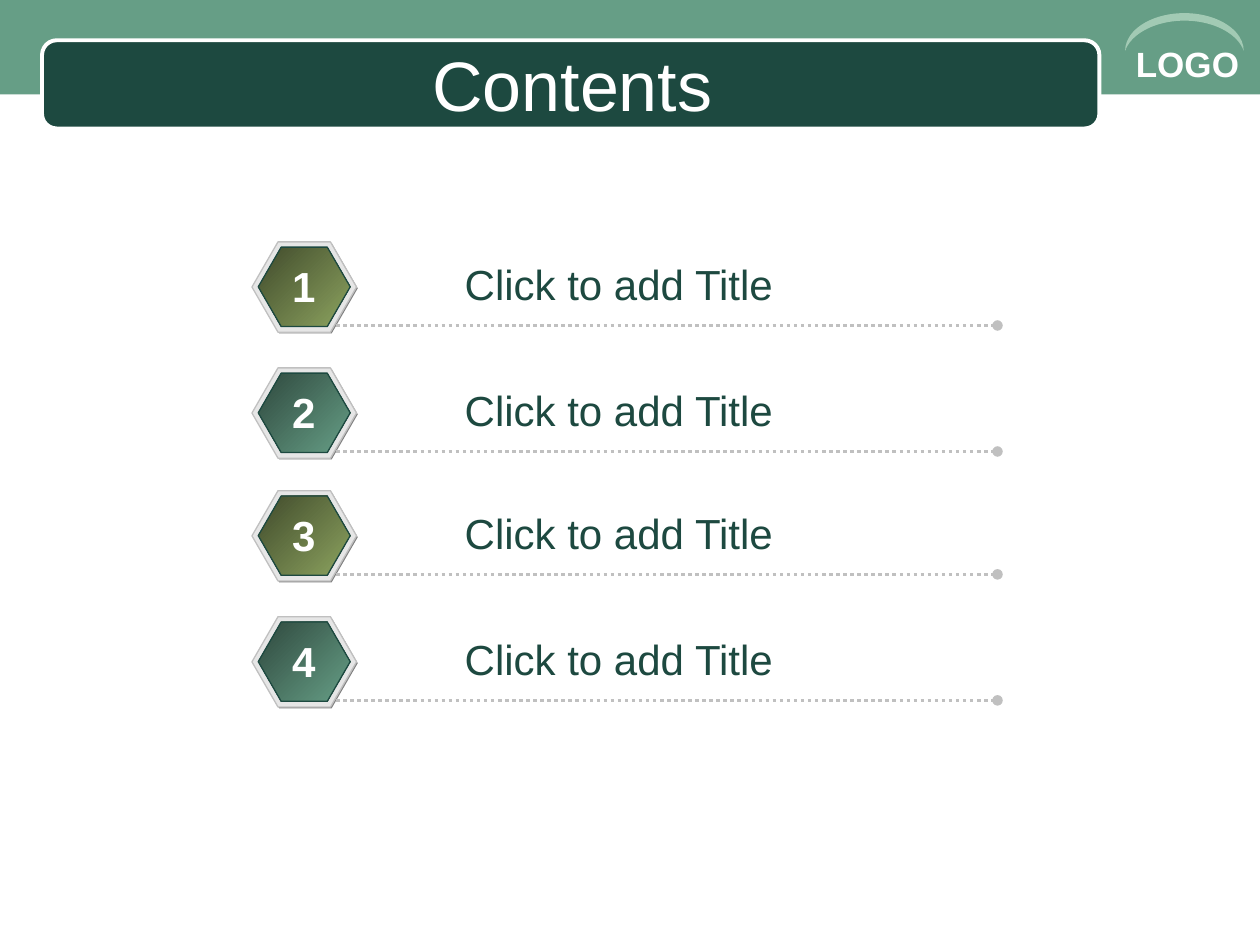
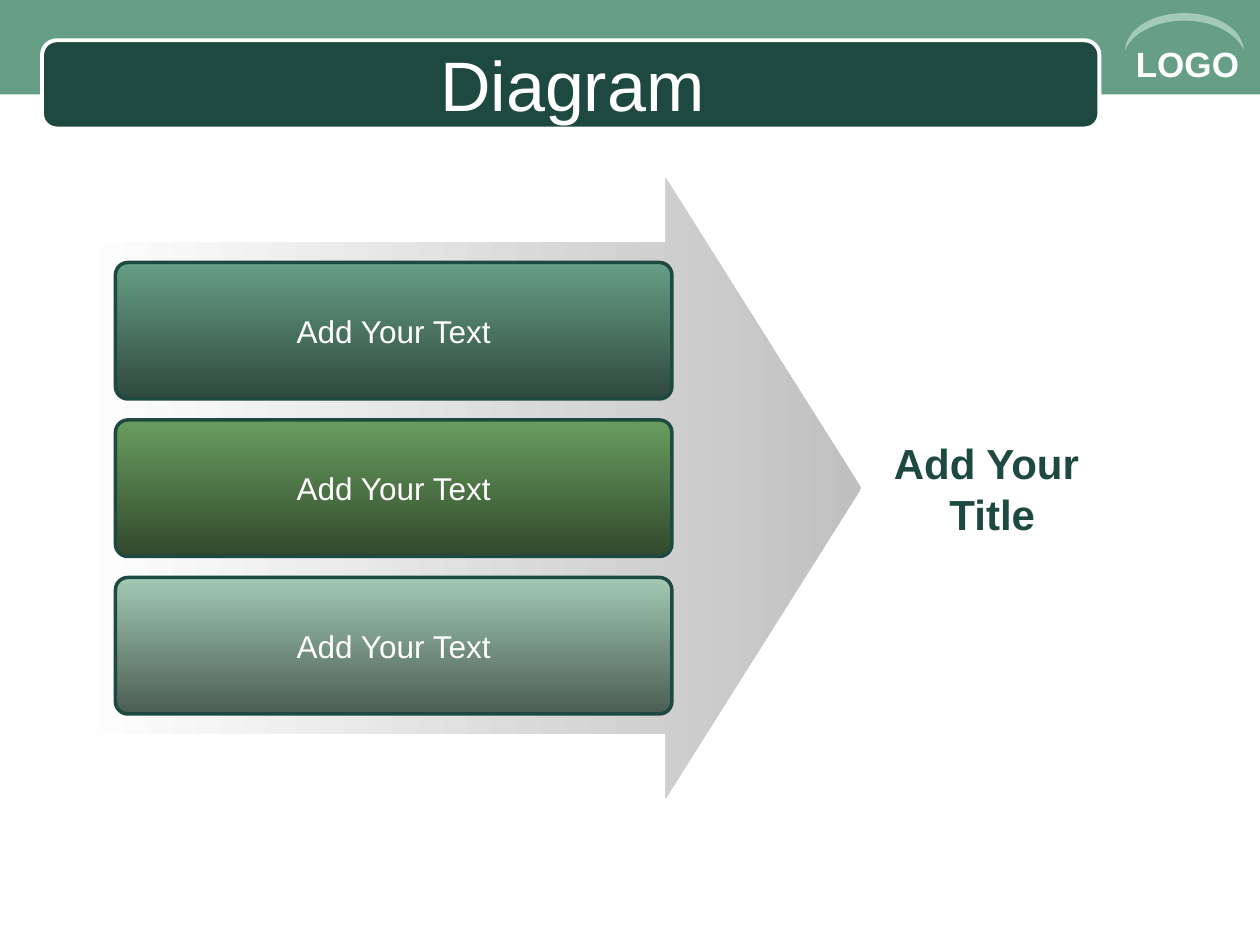
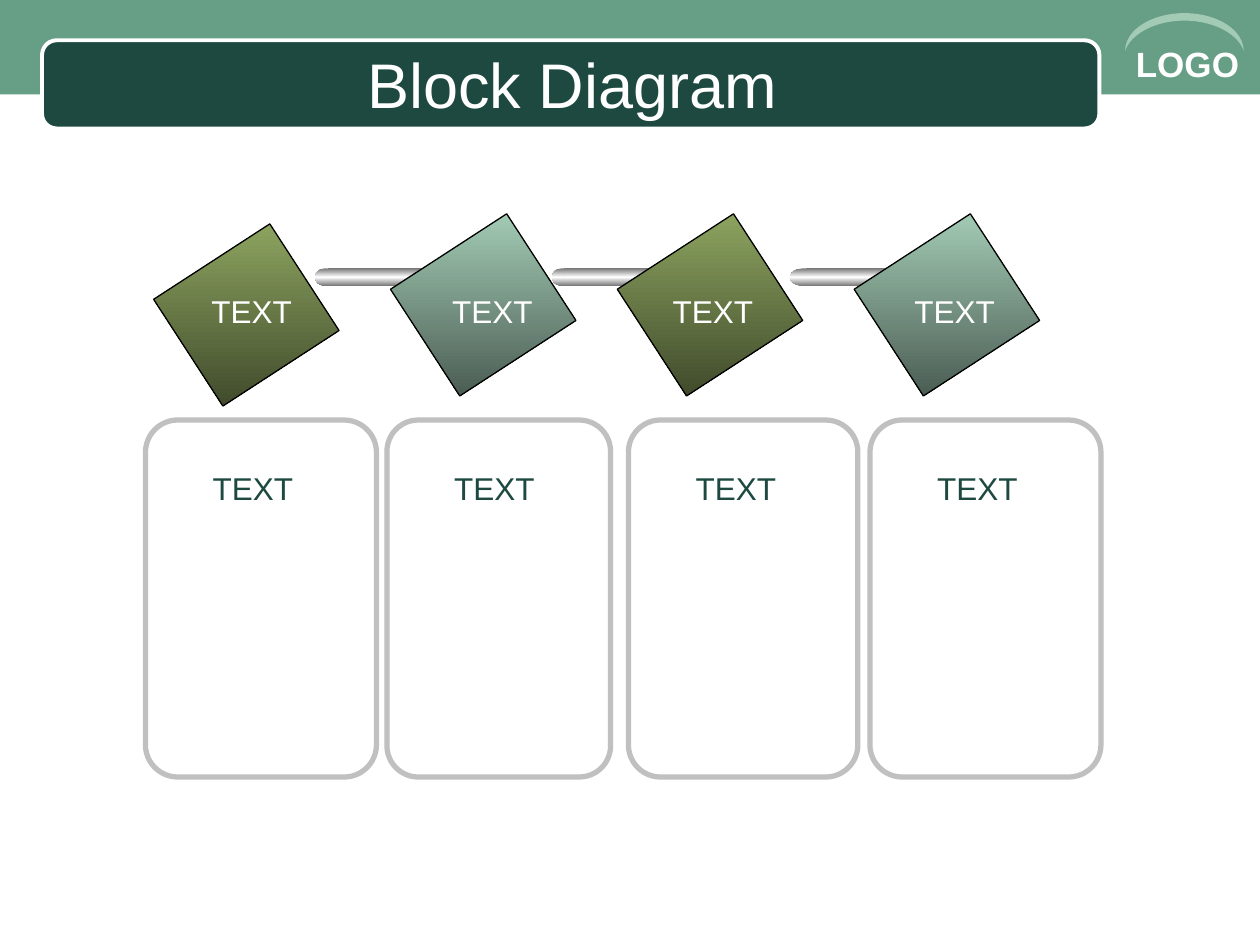
from dataclasses import dataclass
from typing import Optional

from lxml.etree import SubElement
from pptx import Presentation
from pptx.dml.color import RGBColor
from pptx.enum.dml import MSO_LINE as Dash
from pptx.enum.shapes import MSO_CONNECTOR as Connector, MSO_SHAPE as Preset
from pptx.enum.text import MSO_ANCHOR as Anchor, MSO_AUTO_SIZE as AutoSize, PP_ALIGN as Align
from pptx.oxml.ns import qn
from pptx.util import Emu, Inches, Pt

COLUMNS, ROWS = 120, 90
FONT = "Arial"
COLORS = {
    "band": "669E86", "deep": "1D4940", "mint": "A2CAB4", "white": "FFFFFF",
    "black": "000000", "silver": "C0C0C0", "pale": "E6E6E6", "gray": "808080",
    "steel": "767676", "olive": "8CA35F", "olive_dark": "414B2C",
    "band_dark": "2F493E", "leaf": "699D5F", "leaf_dark": "31492C",
    "mint_dark": "4B5D53",
}
METAL = ("steel", "white", "steel")
OLIVE = ("olive", "olive_dark")
MINT = ("mint", "mint_dark")

deck = Presentation()
deck.slide_width, deck.slide_height = Inches(10), Inches(7.5)
LAYOUT = deck.slide_layouts[5]


def across(columns: float) -> Emu:
    return Emu(round(deck.slide_width * columns / COLUMNS))


def down(rows: float) -> Emu:
    return Emu(round(deck.slide_height * rows / ROWS))


@dataclass(frozen=True)
class Box:
    left: float
    top: float
    width: float
    height: float

    def place(self) -> tuple:
        return across(self.left), down(self.top), across(self.width), down(self.height)


@dataclass(frozen=True)
class Look:
    fill: tuple = ()
    angle: int = 0
    line: str = ""
    weight: float = 0.75
    adjust: tuple = ()
    rotation: int = 0


@dataclass(frozen=True)
class Lettering:
    size: int
    color: str
    bold: bool = False
    align: Optional[Align] = None
    wrap: bool = False


@dataclass(frozen=True)
class RodPart:
    preset: Preset
    left: float
    top: float
    width: float
    height: float
    line: str = ""


def color(name: str) -> RGBColor:
    return RGBColor.from_string(COLORS[name])


def paint_gradient(shape, names: tuple, angle: int) -> None:
    shape.fill.gradient()
    gradient = shape.element.spPr.find(qn("a:gradFill"))
    stops = gradient.find(qn("a:gsLst"))
    for stop in list(stops):
        stops.remove(stop)
    for index, name in enumerate(names):
        position = round(100000 * index / (len(names) - 1))
        stop = SubElement(stops, qn("a:gs"), pos=str(position))
        SubElement(stop, qn("a:srgbClr"), val=COLORS[name])
    direction = gradient.find(qn("a:lin"))
    direction.set("ang", str(angle * 60000))
    direction.set("scaled", "0")


def draw(shapes, preset: Preset, box: Box, look: Look):
    shape = shapes.add_shape(preset, *box.place())
    shape.shadow.inherit = False
    shape.rotation = look.rotation
    for index, value in enumerate(look.adjust):
        shape.adjustments[index] = value
    if len(look.fill) > 1:
        paint_gradient(shape, look.fill, look.angle)
    elif look.fill:
        shape.fill.solid()
        shape.fill.fore_color.rgb = color(look.fill[0])
    else:
        shape.fill.background()
    if look.line:
        shape.line.color.rgb = color(look.line)
        shape.line.width = Pt(look.weight)
    else:
        shape.line.fill.background()
    return shape


def letter(shape, text: str, style: Lettering) -> None:
    frame = shape.text_frame
    frame.text = text
    frame.word_wrap = style.wrap
    for paragraph in frame.paragraphs:
        paragraph.alignment = style.align
        for span in paragraph.runs:
            span.font.name = FONT
            span.font.size = Pt(style.size)
            span.font.bold = style.bold
            span.font.color.rgb = color(style.color)


def write(page, box: Box, text: str, style: Lettering) -> None:
    letter(page.shapes.add_textbox(*box.place()), text, style)


def draw_dotted_line(page, left: float, right: float, row: float) -> None:
    rule = page.shapes.add_connector(
        Connector.STRAIGHT, across(left), down(row), across(right), down(row))
    rule.line.color.rgb = color("silver")
    rule.line.width = Pt(2)
    rule.line.dash_style = Dash.ROUND_DOT
    properties = rule.element.spPr
    SubElement(properties.find(qn("a:ln")), qn("a:tailEnd"), type="oval")
    SubElement(properties, qn("a:effectLst"))


def add_page(title: str, size: int = 40):
    page = deck.slides.add_slide(LAYOUT)
    heading = page.shapes.title
    heading.left, heading.top, heading.width, heading.height = Box(6, 4.2, 97, 7.44).place()
    letter(heading, title, Lettering(size, "white", align=Align.CENTER, wrap=True))
    heading.text_frame.auto_size = AutoSize.NONE
    heading.text_frame.vertical_anchor = Anchor.MIDDLE
    return page


def furnish_layout(page) -> None:
    band = draw(page.shapes, Preset.RECTANGLE, Box(0, 0, COLUMNS, 9), Look(("band",)))
    panel = draw(page.shapes, Preset.ROUNDED_RECTANGLE, Box(4, 3.84, 100.7, 8.4),
                 Look(("deep",), line="white", weight=2.25, adjust=(0.167,)))
    mark = page.shapes.add_textbox(*Box(107, 3.5, 13, 5.28).place())
    letter(mark, "LOGO", Lettering(20, "white", bold=True, wrap=True))
    arc = draw(page.shapes, Preset.MOON, Box(111, -2.6, 3.6, 11.3),
               Look(("mint",), adjust=(0.2,), rotation=90))
    for index, part in enumerate((band, panel, mark, arc)):
        LAYOUT.shapes.element.insert(2 + index, part.element)


def draw_badge(page, top: float, gradient: tuple) -> None:
    group = page.shapes.add_group_shape().shapes
    corners = (0.289, 1.155)
    draw(group, Preset.HEXAGON, Box(24.12, top + 0.12, 9.96, 8.6),
         Look(("gray",), adjust=corners))
    draw(group, Preset.HEXAGON, Box(24, top, 9.96, 8.6),
         Look(("pale",), line="silver", adjust=corners))
    draw(group, Preset.HEXAGON, Box(24.6, top + 0.5, 8.76, 7.56),
         Look(gradient, 45, "deep", adjust=corners))


def build_contents(page) -> None:
    gradients = (("olive_dark", "olive"), ("band_dark", "band"))
    for index in range(4):
        top = 23.04 + 12 * index - 0.3 * (index // 2)
        draw_badge(page, top, gradients[index % 2])
        draw_dotted_line(page, 32, 95, top + 7.96)
        write(page, Box(43.08, top + 0.96, 31.9, 6), "Click to add Title",
              Lettering(24, "deep"))
        write(page, Box(26.64, top + 1.2, 4.56, 6), str(index + 1),
              Lettering(24, "white", bold=True, align=Align.CENTER))


def build_arrow(page) -> None:
    draw(page.shapes, Preset.RIGHT_ARROW, Box(7, 17, 75, 59),
         Look(("white", "silver"), adjust=(0.793, 0.315)))
    for index, gradient in enumerate((("band", "band_dark"), ("leaf", "leaf_dark"), MINT)):
        bar = draw(page.shapes, Preset.ROUNDED_RECTANGLE, Box(11, 25 + 15 * index, 53, 13),
                   Look(gradient, 90, "deep", 2, (0.091,)))
        letter(bar, "Add Your Text", Lettering(18, "white", align=Align.CENTER))
    result = draw(page.shapes, Preset.ROUNDED_RECTANGLE, Box(78, 38, 33, 17),
                  Look(adjust=(0.091,)))
    letter(result, "Add Your \nTitle",
           Lettering(24, "deep", bold=True, align=Align.CENTER, wrap=True))


ROD = (
    RodPart(Preset.OVAL, 0, 25.56, 2.04, 1.68),
    RodPart(Preset.RECTANGLE, 1.2, 25.56, 10.2, 1.68),
    RodPart(Preset.OVAL, 10.32, 25.68, 1.8, 1.68, "white"),
    RodPart(Preset.OVAL, 11.4, 26.16, 0.48, 0.48),
)


def draw_rod(shapes, left: float, stretch: float) -> None:
    for part in ROD:
        box = Box(left + part.left * stretch, part.top, part.width * stretch, part.height)
        draw(shapes, part.preset, box, Look(METAL, 90, part.line, 1))


@dataclass(frozen=True)
class Block:
    card_width: float
    tile_left: float
    tile_top: float
    label_left: float
    gradient: tuple
    rod_left: float = 0
    rod_stretch: float = 1


BLOCKS = (
    Block(22, 17.4, 23.4, 18.96, OLIVE, 30),
    Block(21.3, 39.96, 22.44, 41.88, MINT, 52.56),
    Block(21.85, 61.56, 22.44, 62.88, OLIVE, 75.24, 1.3),
    Block(22, 84.12, 22.44, 85.92, MINT),
)


def build_blocks(page) -> None:
    pitch = 23
    for index, block in reversed(list(enumerate(BLOCKS))):
        draw(page.shapes, Preset.ROUNDED_RECTANGLE,
             Box(13.85 + pitch * index, 40, block.card_width, 34),
             Look(line="silver", weight=3, adjust=(0.14,)))
    chain = page.shapes.add_group_shape().shapes
    for block in BLOCKS:
        draw(chain, Preset.RECTANGLE, Box(block.tile_left, block.tile_top, 12.12, 13.2),
             Look(block.gradient, 33, "black", rotation=57))
        if block.rod_left:
            draw_rod(chain, block.rod_left, block.rod_stretch)
    for index, block in enumerate(BLOCKS):
        write(page, Box(block.label_left, 27.24, 10.08, 4.8), "TEXT", Lettering(18, "white"))
        write(page, Box(19.08 + pitch * index, 44.04, 10.08, 4.8), "TEXT",
              Lettering(18, "deep"))


contents = add_page("Contents")
furnish_layout(contents)
build_contents(contents)
build_arrow(add_page("Diagram"))
build_blocks(add_page("Block Diagram", 36))
deck.save("out.pptx")
